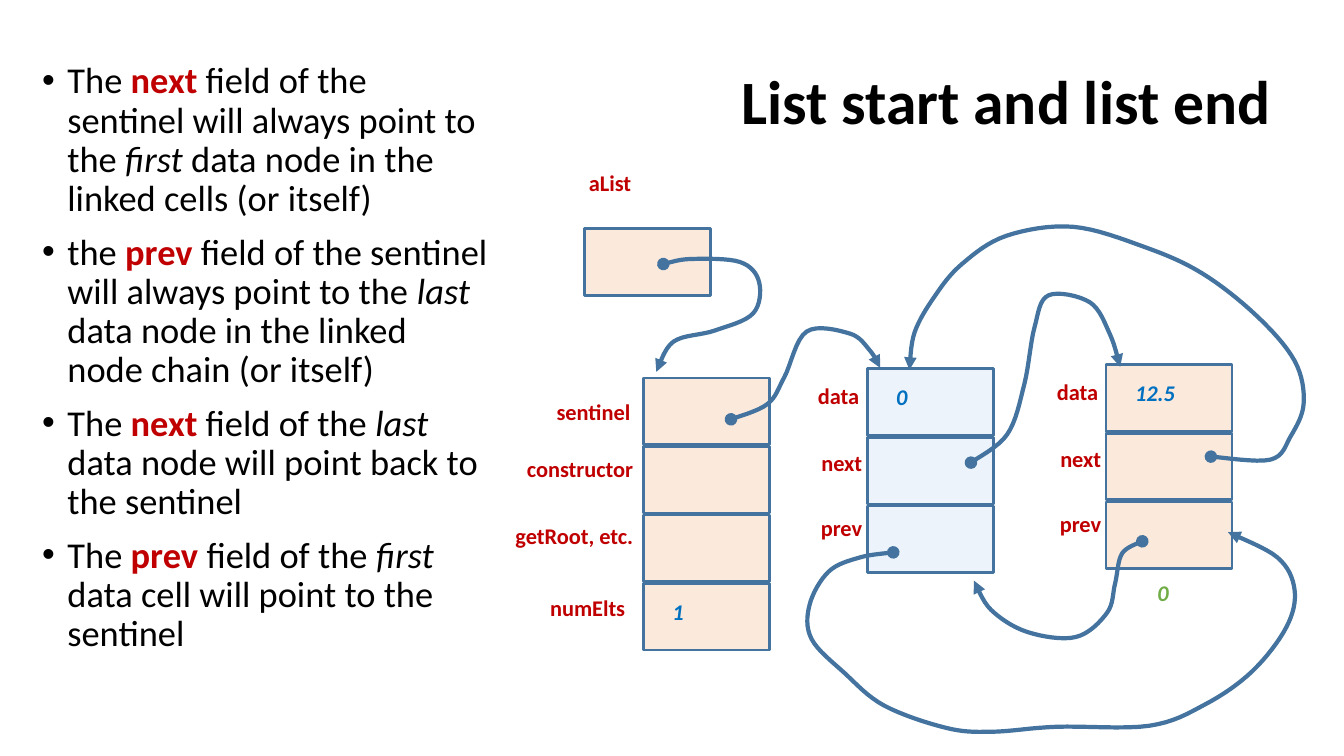
from pptx import Presentation
from pptx.dml.color import RGBColor
from pptx.enum.shapes import MSO_SHAPE as Shape
from pptx.enum.text import MSO_ANCHOR as Anchor, PP_ALIGN as Align
from pptx.oxml.ns import qn
from pptx.util import Inches, Pt
from lxml.etree import SubElement

BLACK = RGBColor(0x00, 0x00, 0x00)
RED = RGBColor(0xC0, 0x00, 0x00)
BLUE = RGBColor(0x00, 0x70, 0xC0)
GREEN = RGBColor(0x70, 0xAD, 0x47)
OUTLINE = RGBColor(0x43, 0x73, 0x9E)
ORANGE_FILL = RGBColor(0xF4, 0xB1, 0x83)
BLUE_FILL = RGBColor(0xBD, 0xD7, 0xEE)

CELL_WIDTH = 1.25
CELL_HEIGHT = 0.66
CELL_STEP = 0.68
LABEL_WIDTH = 1.4
CURVE_STEPS = 8


def style(span, size, color, bold=False, italic=False):
    font = span.font
    font.name = "Calibri"
    font.size = Pt(size)
    font.color.rgb = color
    font.bold = bold
    font.italic = italic


def add_label(text, left, top, width, color, align=Align.LEFT):
    box = page.shapes.add_textbox(Inches(left), Inches(top), Inches(width), Inches(0.48))
    box.text_frame.word_wrap = True
    box.text_frame.text = text
    para = box.text_frame.paragraphs[0]
    para.alignment = align
    style(para.runs[0], 16, color, bold=True, italic=color != RED)


deck = Presentation()
deck.slide_width = Inches(13.33)
deck.slide_height = Inches(7.5)
page = deck.slides.add_slide(deck.slide_layouts[5])

title = page.shapes.title
title.left, title.top = Inches(5.8), Inches(0.57)
title.width, title.height = Inches(6.91), Inches(0.84)
title.text_frame.text = "List start and list end"
title.text_frame.vertical_anchor = Anchor.MIDDLE
title.text_frame.paragraphs[0].alignment = Align.RIGHT
style(title.text_frame.paragraphs[0].runs[0], 44, BLACK, bold=True)

# Each field: name, then where its label's right edge and top lie from the cell's corner.
variable_fields = [("aList", 0.56, -0.64)]
list_fields = [
    ("sentinel", -0.03, 0.15),
    ("constructor", 0, 0.04),
    ("getRoot, etc.", 0, 0.02),
    ("numElts", -0.08, 0.05),
]
node_fields = [("data", 0.02, 0.08), ("next", 0.05, 0.07), ("prev", 0.05, 0.03)]
records = [
    ("variable", 5.8, 2.27, ORANGE_FILL, variable_fields, {}),
    ("list", 6.38, 3.75, ORANGE_FILL, list_fields, {"numElts": "1"}),
    ("first", 8.6, 3.66, BLUE_FILL, node_fields, {"data": "0"}),
    ("last", 10.97, 3.62, ORANGE_FILL, node_fields, {"data": "12.5"}),
]
corners = {}
for record, left, record_top, color, fields, values in records:
    for row, (field, label_shift, label_drop) in enumerate(fields):
        top = record_top + row * CELL_STEP
        corners[record, field] = (left, top)
        cell = page.shapes.add_shape(
            Shape.RECTANGLE, Inches(left), Inches(top), Inches(CELL_WIDTH), Inches(CELL_HEIGHT))
        cell.shadow.inherit = False
        cell.fill.solid()
        cell.fill.fore_color.rgb = color
        fill_color = cell._element.spPr.find(qn("a:solidFill"))[0]
        SubElement(fill_color, qn("a:alpha")).set("val", "28000")
        cell.line.color.rgb = OUTLINE
        cell.line.width = Pt(2)
        add_label(field, left + label_shift - LABEL_WIDTH, top + label_drop,
                  LABEL_WIDTH, RED, Align.RIGHT)
        if field in values:
            add_label(values[field], left + 0.19, top + 0.09, 0.72, BLUE)
add_label("0", 11.38, 5.7, 0.49, GREEN)

# Each pointer: source cell and offset, bends on the page, target cell and offset.
pointers = [
    (("variable", "aList"), (0.78, 0.35),
     [(6.85, 2.57), (7.34, 2.6), (7.53, 2.8), (7.47, 3.11), (7.09, 3.28), (6.68, 3.39)],
     ("list", "sentinel"), (0.13, -0.06)),
    (("list", "sentinel"), (0.87, 0.41),
     [(7.61, 4.01), (7.78, 3.74), (8, 3.29), (8.43, 3.31), (8.63, 3.48)],
     ("first", "data"), (0.13, -0.01)),
    (("first", "next"), (1.03, 0.25),
     [(9.99, 4.31), (10.16, 3.81), (10.26, 3.25), (10.4, 2.93), (10.81, 3), (11.01, 3.32)],
     ("last", "data"), (0.14, 0.02)),
    (("first", "prev"), (0.26, 0.46),
     [(8.53, 5.53), (8.22, 5.67), (8.03, 6), (8.05, 6.34), (8.38, 6.68), (8.77, 7),
      (9.38, 7.22), (9.83, 7.26), (10.48, 7.21), (11.4, 7.2), (11.95, 6.99),
      (12.42, 6.66), (12.76, 6.22), (12.84, 5.85), (12.67, 5.53)],
     ("last", "prev"), (1.21, 0.3)),
    (("last", "prev"), (0.36, 0.39),
     [(11.13, 5.49), (11.06, 5.79), (10.98, 6.08), (10.67, 6.32), (10.19, 6.27), (9.83, 6.05)],
     ("first", "prev"), (1.06, 0.74)),
    (("last", "next"), (1.04, 0.23),
     [(12.6, 4.56), (12.8, 4.33), (12.93, 4), (12.84, 3.58), (12.46, 3.13), (11.92, 2.71),
      (11.35, 2.45), (10.64, 2.25), (9.98, 2.34), (9.54, 2.62), (9.27, 2.94), (9.07, 3.3)],
     ("first", "data"), (0.42, 0.01)),
]
for source, source_offset, bends, target, target_offset in pointers:
    start = tuple(map(sum, zip(corners[source], source_offset)))
    end = tuple(map(sum, zip(corners[target], target_offset)))
    knots = [start, start, *bends, end, end]
    curve = []
    for before, here, there, after in zip(knots, knots[1:], knots[2:], knots[3:]):
        for step in range(1, CURVE_STEPS + 1):
            t = step / CURVE_STEPS
            curve.append(tuple(
                Inches(b + (c - a) * t / 2 + (2 * a - 5 * b + 4 * c - d) * t ** 2 / 2
                       + (3 * b - a - 3 * c + d) * t ** 3 / 2)
                for a, b, c, d in zip(before, here, there, after)))
    builder = page.shapes.build_freeform(*map(Inches, start))
    builder.add_line_segments(curve, close=False)
    pointer = builder.convert_to_shape()
    pointer.shadow.inherit = False
    pointer.fill.background()
    pointer.line.color.rgb = OUTLINE
    pointer.line.width = Pt(3)
    line = pointer.line._get_or_add_ln()
    SubElement(line, qn("a:round"))
    SubElement(line, qn("a:headEnd")).set("type", "oval")
    SubElement(line, qn("a:tailEnd")).set("type", "triangle")

bullets = [
    ["The ", "next", " field of the sentinel will always point to the ", "first",
     " data node in the linked cells (or itself)"],
    ["the ", "prev", " field of the sentinel will always point to the ", "last ",
     "data node in the linked node chain (or itself)"],
    ["The ", "next", " field of the ", "last", " data node will point back to the sentinel"],
    ["The ", "prev", " field of the ", "first", " data cell will point to the sentinel"],
]
body = page.shapes.add_textbox(Inches(0.32), Inches(0.57), Inches(4.62), Inches(6.45))
body.text_frame.word_wrap = True
for index, parts in enumerate(bullets):
    para = body.text_frame.add_paragraph() if index else body.text_frame.paragraphs[0]
    para.line_spacing = 0.9
    para.space_before = Pt(10)
    settings = para._p.get_or_add_pPr()
    settings.set("marL", str(Inches(0.25)))
    settings.set("indent", str(-Inches(0.25)))
    SubElement(settings, qn("a:buFont")).set("typeface", "Arial")
    SubElement(settings, qn("a:buChar")).set("char", "•")
    for position, text in enumerate(parts):
        span = para.add_run()
        span.text = text
        is_field = position == 1
        style(span, 26, RED if is_field else BLACK, bold=is_field, italic=position == 3)

deck.save("out.pptx")
